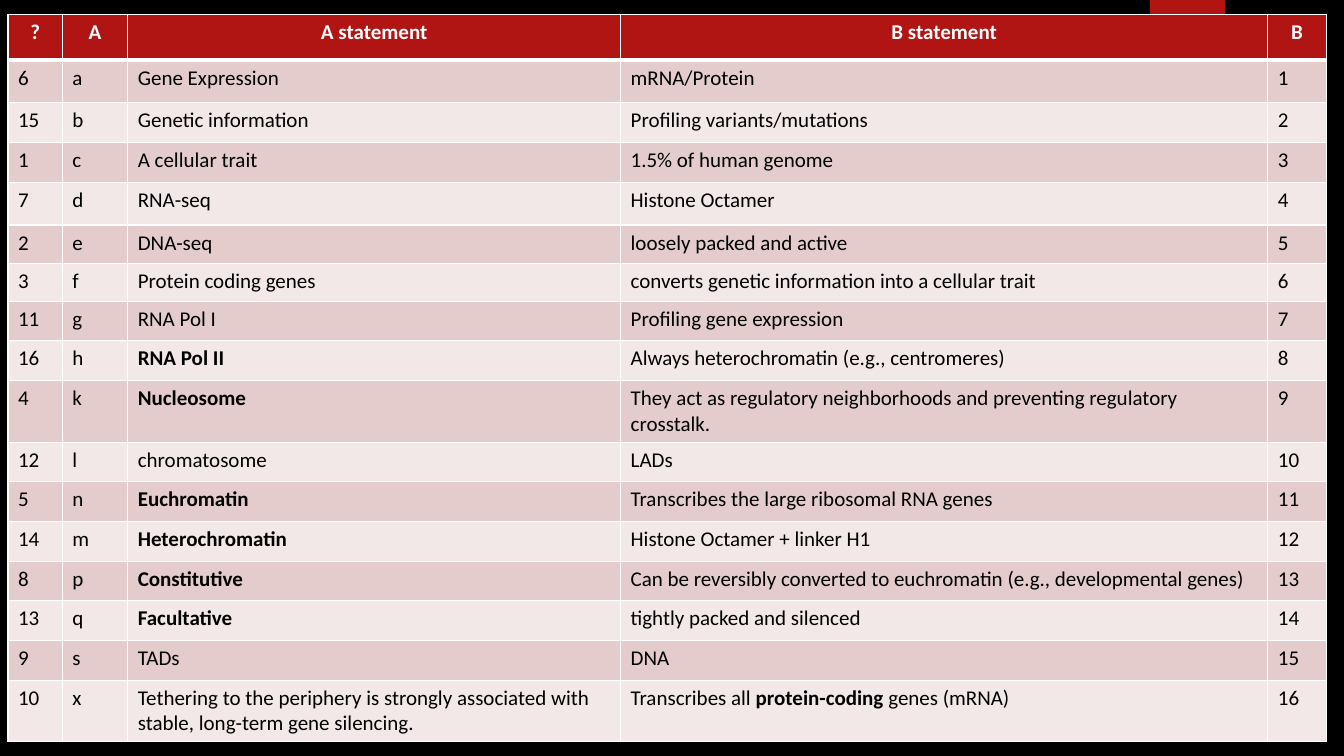
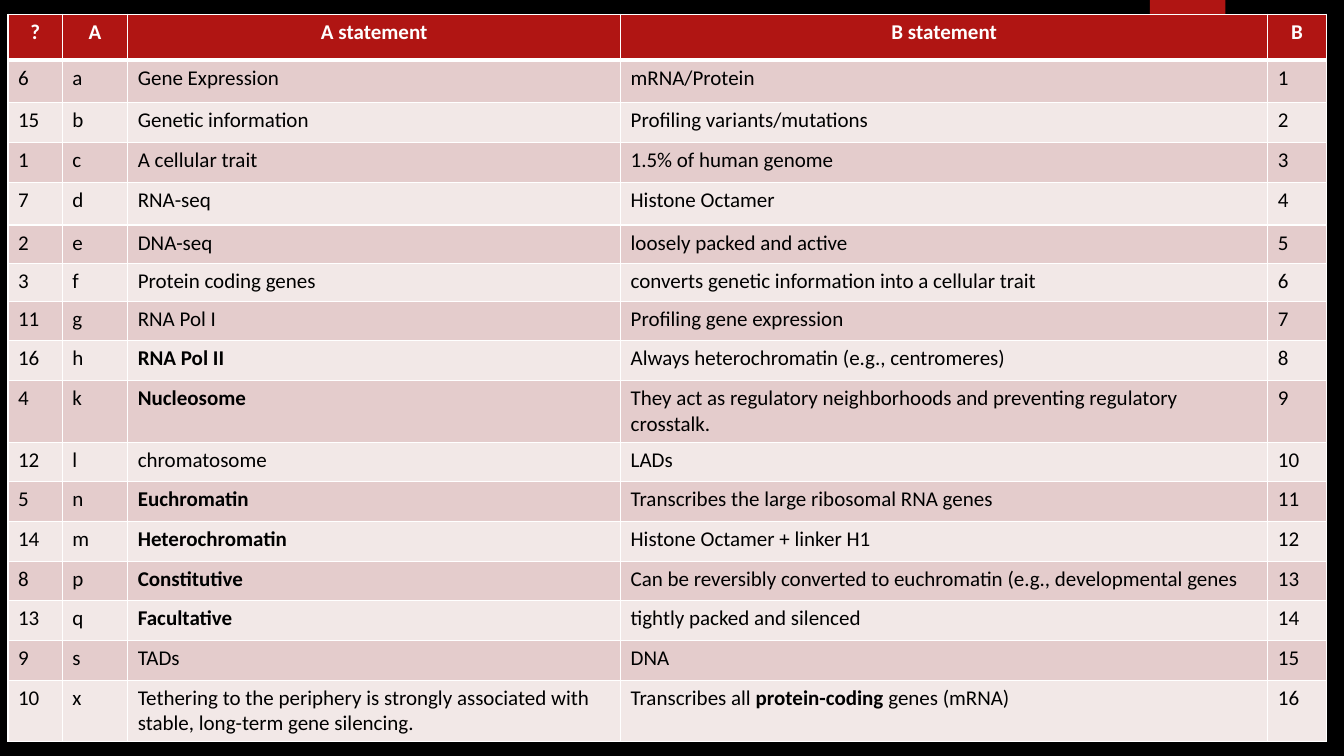
from dataclasses import dataclass

from lxml import etree
from pptx import Presentation
from pptx.dml.color import RGBColor as RGB
from pptx.enum.shapes import MSO_SHAPE as Shape
from pptx.enum.text import PP_ALIGN as Align
from pptx.oxml.ns import qn
from pptx.util import Cm, Pt


@dataclass(frozen=True)
class Theme:
    background: str = "000000"
    accent: str = "B01513"
    band_dark: str = "E4CCCC"
    band_light: str = "F2E8E7"
    border: str = "FFFFFF"
    header_text: str = "FFFFFF"
    body_text: str = "000000"
    font: str = "Calibri"
    text_size: int = 15
    thin_line: int = 1
    header_line: int = 3


THEME = Theme()

# Table geometry in centimetres
TABLE_LEFT, TABLE_TOP = 0.2, 0.36
COLUMN_WIDTHS = (1.37, 1.65, 12.42, 16.31, 1.47)
USUAL_ROW = 1.0
SPECIAL_ROWS = {0: 1.16, 1: 1.07, 4: 1.08, 5: 0.96, 6: 0.96}

# Matching exercise: answer, letter, A statement, B statement; *bold* words
HEADER = ("?", "A", "A statement", "B statement", "B")
STATEMENTS = (
    ("6", "a", "Gene Expression", "mRNA/Protein"),
    ("15", "b", "Genetic information", "Profiling variants/mutations"),
    ("1", "c", "A cellular trait", "1.5% of human genome"),
    ("7", "d", "RNA-seq", "Histone Octamer"),
    ("2", "e", "DNA-seq", "loosely packed and active"),
    ("3", "f", "Protein coding genes", "converts genetic information into a cellular trait"),
    ("11", "g", "RNA Pol I", "Profiling gene expression"),
    ("16", "h", "*RNA Pol II*", "Always heterochromatin (e.g., centromeres)"),
    ("4", "k", "*Nucleosome*",
     "They act as regulatory neighborhoods and preventing regulatory crosstalk."),
    ("12", "l", "chromatosome", "LADs"),
    ("5", "n", "*Euchromatin*", "Transcribes the large ribosomal RNA genes"),
    ("14", "m", "*Heterochromatin*", "Histone Octamer + linker H1"),
    ("8", "p", "*Constitutive*", "{convertible}"),
    ("13", "q", "*Facultative*", "tightly packed and silenced"),
    ("9", "s", "TADs", "DNA"),
    ("10", "x",
     "Tethering to the periphery is strongly associated with stable, long-term gene silencing.",
     "Transcribes all *protein-coding* genes (mRNA)"),
)
# Wording of the convertible statement on each slide
CONVERTIBLE = (
    "Can be reversibly converted to euchromatin (e.g., developmental genes)",
    "Can be reversibly converted to euchromatin (e.g., developmental genes",
)


def color(value):
    return RGB.from_string(value)


def set_borders(cell, top, bottom):
    """Draw the four cell borders; they must precede the fill in the XML."""
    properties = cell._tc.get_or_add_tcPr()
    widths = {"L": THEME.thin_line, "R": THEME.thin_line, "T": top, "B": bottom}
    for position, (side, width) in enumerate(widths.items()):
        line = etree.Element(qn(f"a:ln{side}"), w=str(Pt(width)))
        fill = etree.SubElement(line, qn("a:solidFill"))
        etree.SubElement(fill, qn("a:srgbClr"), val=THEME.border)
        properties.insert(position, line)


def write_text(paragraph, text, text_color, bold=False):
    for index, part in enumerate(text.split("*")):
        if not part:
            continue
        run = paragraph.add_run()
        run.text = part
        run.font.name = THEME.font
        run.font.size = Pt(THEME.text_size)
        run.font.bold = bold or index % 2 == 1
        run.font.color.rgb = color(text_color)


def fill_cell(cell, text, row):
    is_header = row == 0
    band = THEME.band_dark if row % 2 else THEME.band_light
    cell.fill.solid()
    cell.fill.fore_color.rgb = color(THEME.accent if is_header else band)
    set_borders(cell,
                top=THEME.header_line if row == 1 else THEME.thin_line,
                bottom=THEME.header_line if is_header else THEME.thin_line)
    paragraph = cell.text_frame.paragraphs[0]
    paragraph.alignment = Align.CENTER if is_header else Align.LEFT
    write_text(paragraph, text,
               THEME.header_text if is_header else THEME.body_text, is_header)


def add_accent_tab(slide):
    tab = slide.shapes.add_shape(Shape.RECTANGLE, Cm(28.98), Cm(0), Cm(1.9), Cm(3.18))
    tab.shadow.inherit = False
    tab.fill.solid()
    tab.fill.fore_color.rgb = color(THEME.accent)
    tab.line.fill.background()


def add_matching_table(slide, convertible):
    rows = [HEADER]
    for number, (answer, letter, a_text, b_text) in enumerate(STATEMENTS, 1):
        rows.append((answer, letter, a_text,
                     b_text.format(convertible=convertible), str(number)))
    heights = [SPECIAL_ROWS.get(row, USUAL_ROW) for row in range(len(rows))]
    table = slide.shapes.add_table(
        len(rows), len(HEADER), Cm(TABLE_LEFT), Cm(TABLE_TOP),
        Cm(sum(COLUMN_WIDTHS)), Cm(sum(heights))).table
    for column, width in zip(table.columns, COLUMN_WIDTHS):
        column.width = Cm(width)
    for index, (texts, height) in enumerate(zip(rows, heights)):
        table.rows[index].height = Cm(height)
        for cell, text in zip(table.rows[index].cells, texts):
            fill_cell(cell, text, index)


def main():
    presentation = Presentation()
    presentation.slide_width, presentation.slide_height = Cm(33.87), Cm(19.05)

    # Shared background
    background = presentation.slide_master.background.fill
    background.solid()
    background.fore_color.rgb = color(THEME.background)

    # One slide per wording of the exercise
    blank_layout = presentation.slide_layouts[6]
    for convertible in CONVERTIBLE:
        slide = presentation.slides.add_slide(blank_layout)
        add_accent_tab(slide)
        add_matching_table(slide, convertible)

    presentation.save("out.pptx")


if __name__ == "__main__":
    main()
